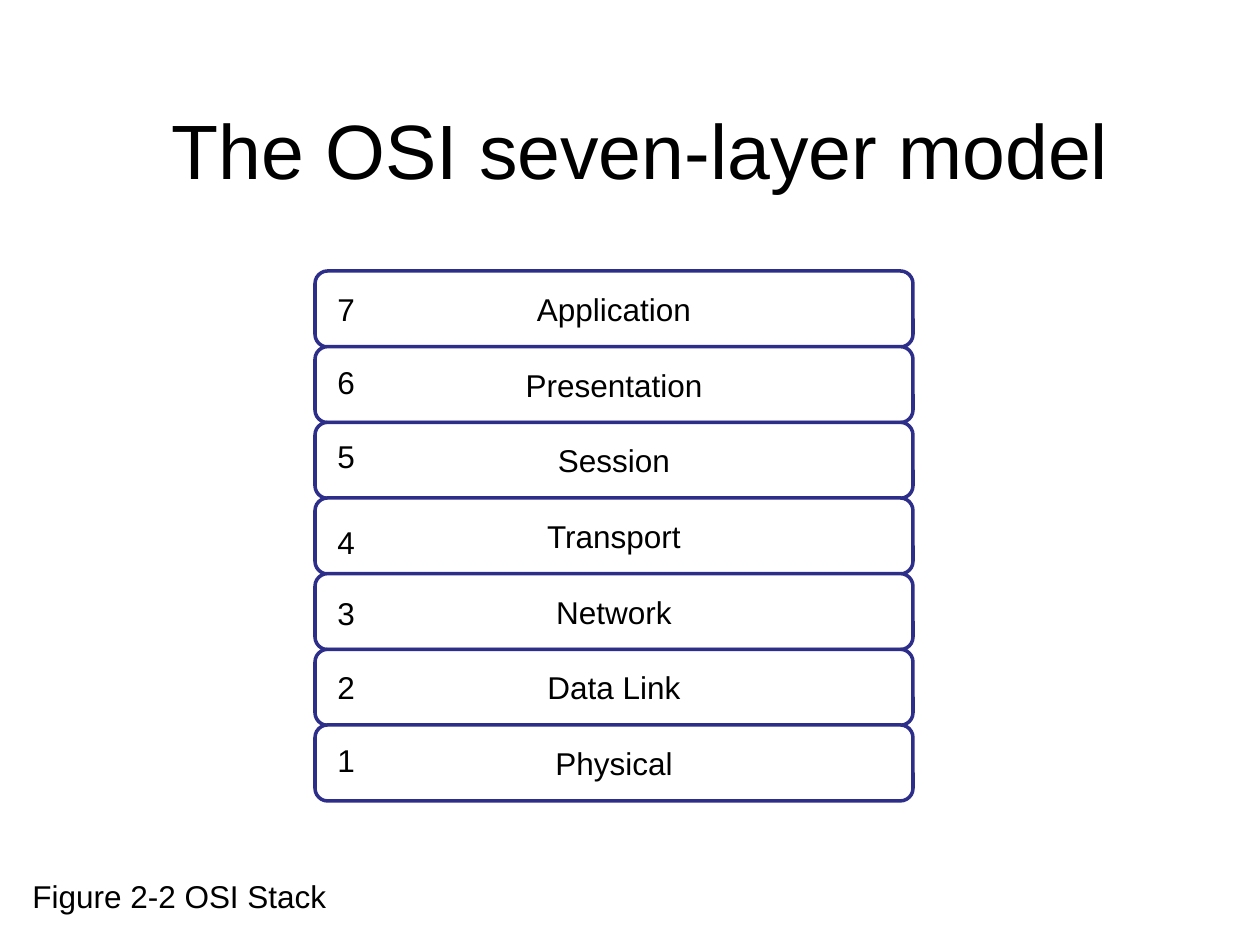
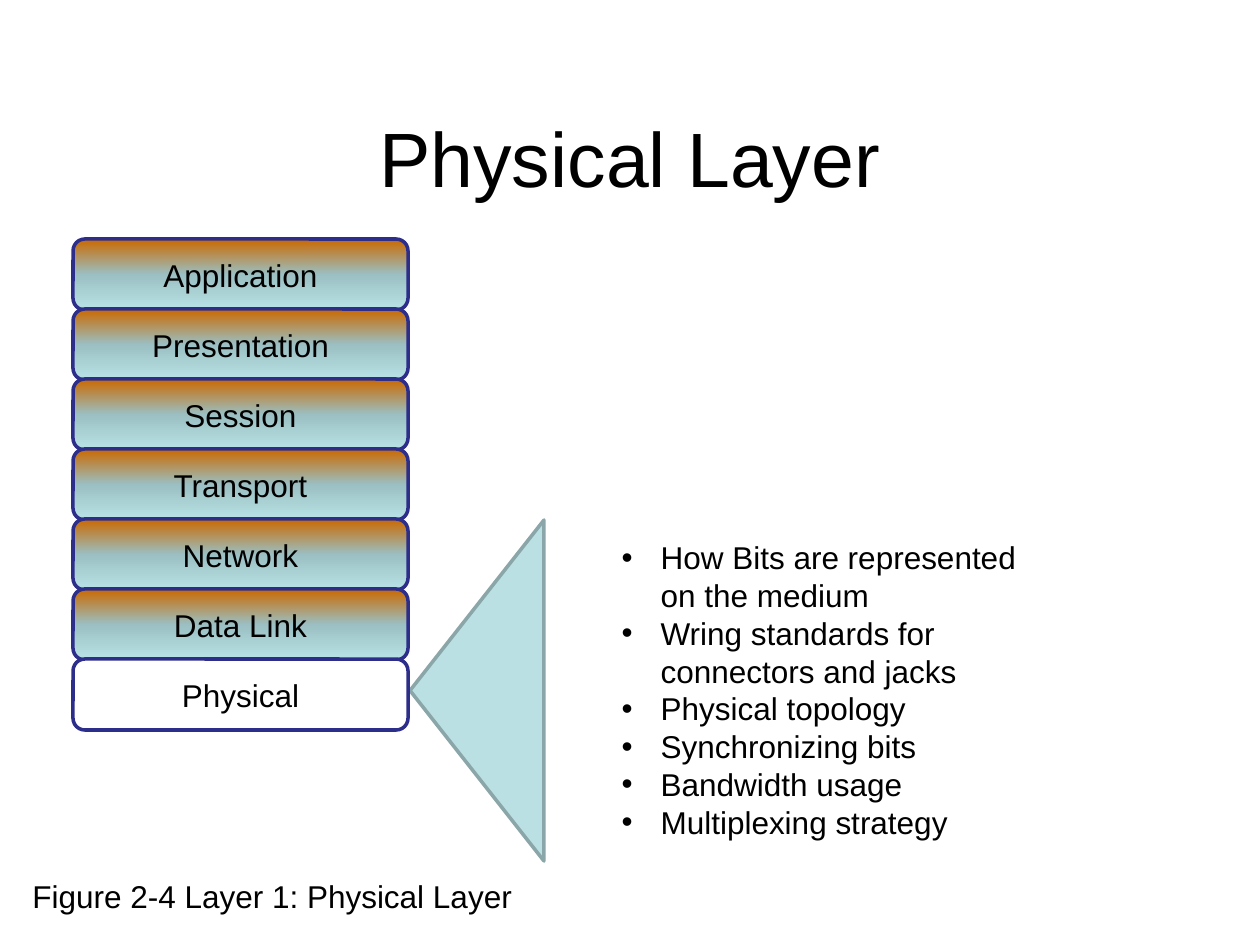
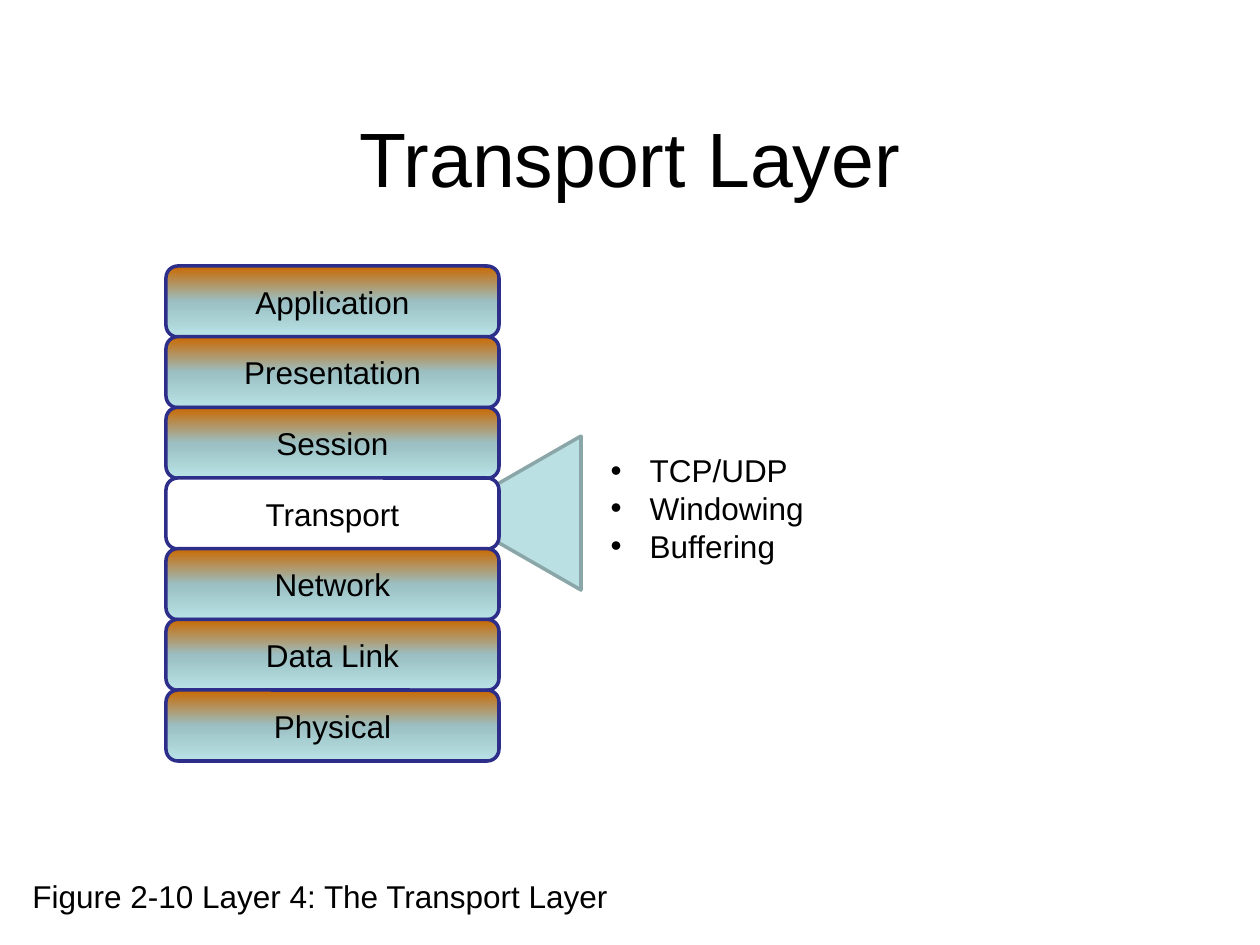
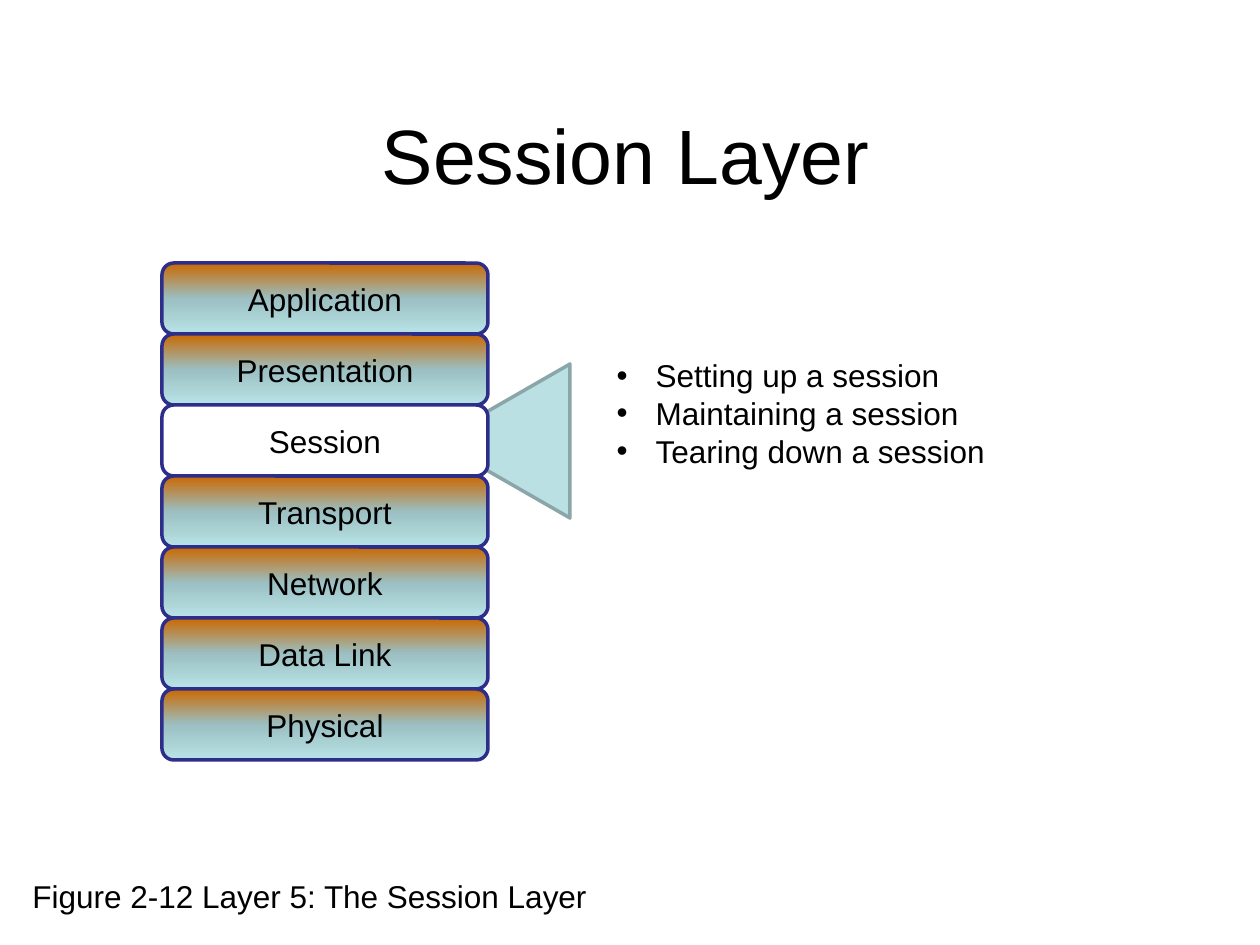
from copy import deepcopy

from lxml.etree import SubElement
from pptx import Presentation
from pptx.dml.color import RGBColor
from pptx.enum.shapes import MSO_SHAPE
from pptx.enum.text import MSO_ANCHOR, MSO_AUTO_SIZE, PP_ALIGN
from pptx.oxml.ns import qn
from pptx.util import Pt

LAYERS = ["Application", "Presentation", "Session", "Transport",
          "Network", "Data Link", "Physical"]

# Boxes are (left, top, width, height) in px; a stack is
# (left, width, first top, last top, layer height).
OVERVIEW = {
    "title": "The OSI seven-layer model",
    "title_box": (105, 96, 1071, 116),
    "stack": (315, 598, 271, 725, 76),
    "caption": "Figure 2-2 OSI Stack",
}
NUMBER_TOPS = [284, 357, 431, 517, 588, 662, 735]

LAYER_SLIDES = [
    {
        "title": "Physical Layer",
        "title_box": (63, 94, 1134, 126),
        "layer": "Physical",
        "stack": (73, 335, 239, 659, 71),
        "pointer": (410, 520, 134, 341),
        "points": ["How Bits are represented on the medium",
                   "Wring standards for connectors and jacks",
                   "Physical topology", "Synchronizing bits",
                   "Bandwidth usage", "Multiplexing strategy"],
        "points_box": (609, 532, 420, 318),
        "caption": "Figure 2-4 Layer 1: Physical Layer",
    },
    {
        "title": "Transport Layer",
        "title_box": (63, 94, 1134, 126),
        "layer": "Transport",
        "stack": (166, 333, 266, 690, 71),
        "pointer": (447, 436, 134, 154),
        "points": ["TCP/UDP", "Windowing", "Buffering"],
        "points_box": (598, 445, 408, 127),
        "caption": "Figure 2-10 Layer 4: The Transport Layer",
    },
    {
        "title": "Session Layer",
        "title_box": (59, 91, 1134, 126),
        "layer": "Session",
        "stack": (162, 326, 263, 689, 71),
        "pointer": (436, 364, 134, 154),
        "points": ["Setting up a session", "Maintaining a session",
                   "Tearing down a session"],
        "points_box": (604, 350, 408, 127),
        "caption": "Figure 2-12 Layer 5: The Session Layer",
    },
]

FONT = "Arial"
BLACK = RGBColor(0x00, 0x00, 0x00)
WHITE = RGBColor(0xFF, 0xFF, 0xFF)
NAVY = RGBColor(0x2D, 0x2D, 0x8A)
PALE_TEAL = RGBColor(0xBB, 0xE0, 0xE3)
GREY_TEAL = RGBColor(0x8A, 0xA6, 0xA8)
LAYER_GRADIENT = [(0, RGBColor(0xCA, 0x68, 0x00)),
                  (0.5, RGBColor(0x9B, 0xBF, 0xC2)),
                  (1, RGBColor(0xB8, 0xE3, 0xE6))]

PX_PER_INCH = 126
TITLE_ONLY, TITLE_AND_BODY = 5, 1
BULLET_INDENT = 39


def px(length):
    return round(length * 914400 / PX_PER_INCH)


def place(shape, box):
    shape.left, shape.top, shape.width, shape.height = map(px, box)


def write(shape, *lines, size=18, align=PP_ALIGN.LEFT, anchor=MSO_ANCHOR.TOP,
          bullets=False, grow=False):
    frame = shape.text_frame
    frame.word_wrap = True
    frame.vertical_anchor = anchor
    frame.auto_size = (MSO_AUTO_SIZE.SHAPE_TO_FIT_TEXT if grow
                       else MSO_AUTO_SIZE.NONE)
    for index, line in enumerate(lines):
        paragraph = frame.add_paragraph() if index else frame.paragraphs[0]
        paragraph.alignment = align
        paragraph.space_before = Pt(0)
        run = paragraph.add_run()
        run.text = line
        run.font.name, run.font.size = FONT, Pt(size)
        run.font.color.rgb = BLACK
        if bullets:
            properties = paragraph._p.get_or_add_pPr()
            properties.set("marL", str(px(BULLET_INDENT)))
            properties.set("indent", str(-px(BULLET_INDENT)))
            SubElement(properties, qn("a:buChar"), char="•")


def add_label(slide, text, box):
    label = slide.shapes.add_textbox(*map(px, box))
    write(label, text, grow=True)


def add_outlined(slide, preset, box, line_color):
    shape = slide.shapes.add_shape(preset, *map(px, box))
    shape.shadow.inherit = False
    shape.line.color.rgb = line_color
    shape.line.width = Pt(2)
    return shape


def fill_solid(shape, color):
    shape.fill.solid()
    shape.fill.fore_color.rgb = color


def fill_gradient(shape):
    """Fill from top to bottom with the three layer colours."""
    shape.fill.gradient()
    shape.fill.gradient_angle = 270
    stop_list = shape._element.spPr.find(qn("a:gradFill")).find(qn("a:gsLst"))
    stop_list.append(deepcopy(stop_list[-1]))
    for stop, (position, color) in zip(shape.fill.gradient_stops, LAYER_GRADIENT):
        stop.position = position
        stop.color.rgb = color


def add_stack(slide, stack, white_layers):
    left, width, first_top, last_top, height = stack
    pitch = (last_top - first_top) / (len(LAYERS) - 1)
    for row, layer in enumerate(LAYERS):
        box = (left, first_top + row * pitch, width, height)
        bar = add_outlined(slide, MSO_SHAPE.ROUNDED_RECTANGLE, box, NAVY)
        if layer in white_layers:
            fill_solid(bar, WHITE)
        else:
            fill_gradient(bar)
        write(bar, layer, align=PP_ALIGN.CENTER, anchor=MSO_ANCHOR.MIDDLE)


def add_pointer(slide, box):
    """Add a triangle that points left and fills the box once turned."""
    left, top, width, height = box
    inset = (width - height) / 2
    unturned = (left + inset, top - inset, height, width)
    pointer = add_outlined(slide, MSO_SHAPE.ISOSCELES_TRIANGLE, unturned, GREY_TEAL)
    pointer.rotation = 270
    fill_solid(pointer, PALE_TEAL)


def start_slide(deck, layout, content, title_anchor):
    slide = deck.slides.add_slide(deck.slide_layouts[layout])
    title = slide.shapes.title
    place(title, content["title_box"])
    write(title, content["title"], size=44, align=PP_ALIGN.CENTER,
          anchor=title_anchor)
    add_label(slide, content["caption"], (20, 871, 609, 50))
    return slide


def build_overview(deck):
    slide = start_slide(deck, TITLE_ONLY, OVERVIEW, MSO_ANCHOR.TOP)
    add_stack(slide, OVERVIEW["stack"], LAYERS)
    for row, top in enumerate(NUMBER_TOPS):
        add_label(slide, str(len(LAYERS) - row), (325, top, 95, 50))


def build_layer_slide(deck, content):
    slide = start_slide(deck, TITLE_AND_BODY, content, MSO_ANCHOR.MIDDLE)
    add_pointer(slide, content["pointer"])
    add_stack(slide, content["stack"], [content["layer"]])
    points = slide.placeholders[1]
    place(points, content["points_box"])
    write(points, *content["points"], bullets=True, grow=True)


def main():
    deck = Presentation()
    deck.slide_width, deck.slide_height = px(1260), px(945)
    build_overview(deck)
    for content in LAYER_SLIDES:
        build_layer_slide(deck, content)
    deck.save("out.pptx")


if __name__ == "__main__":
    main()
